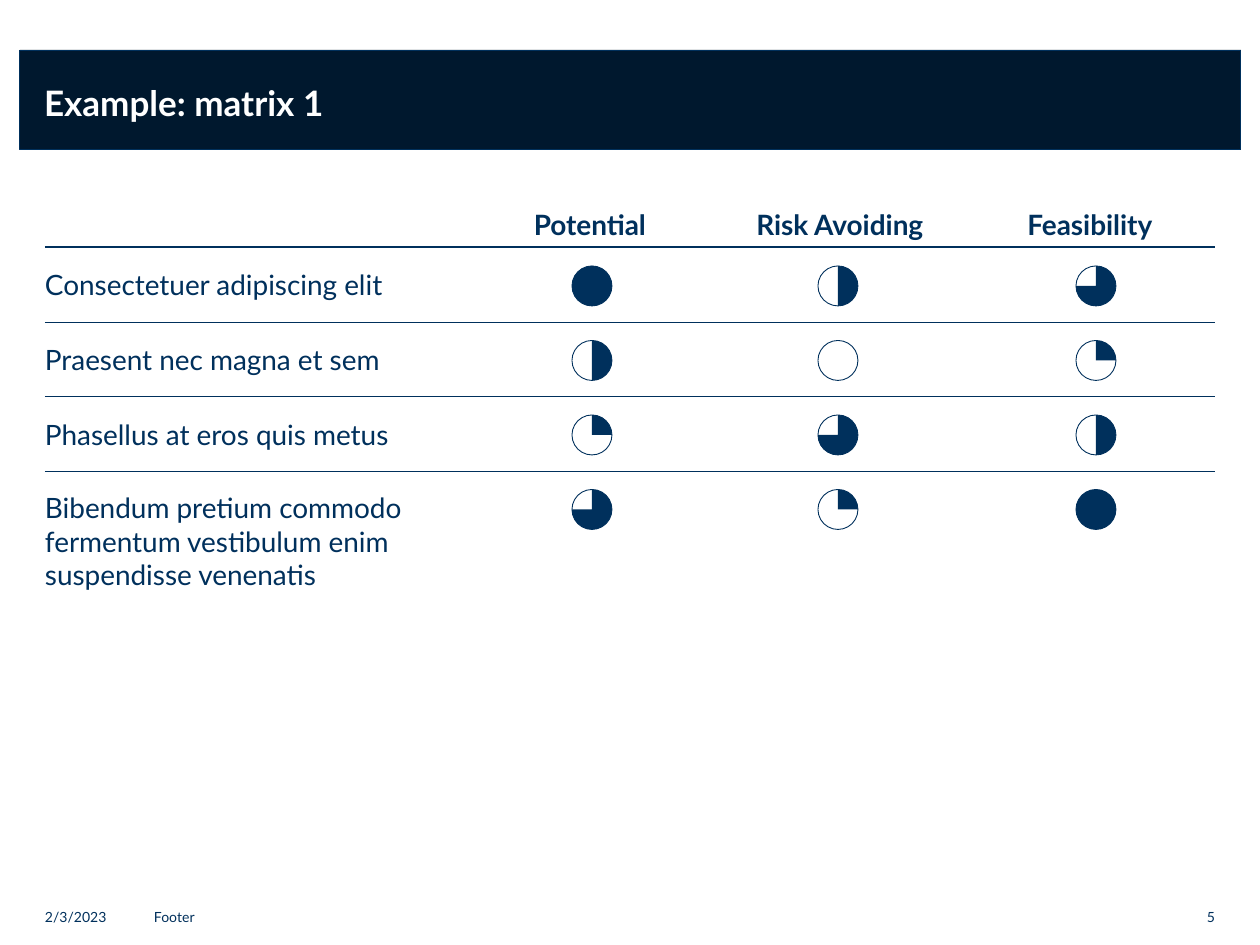
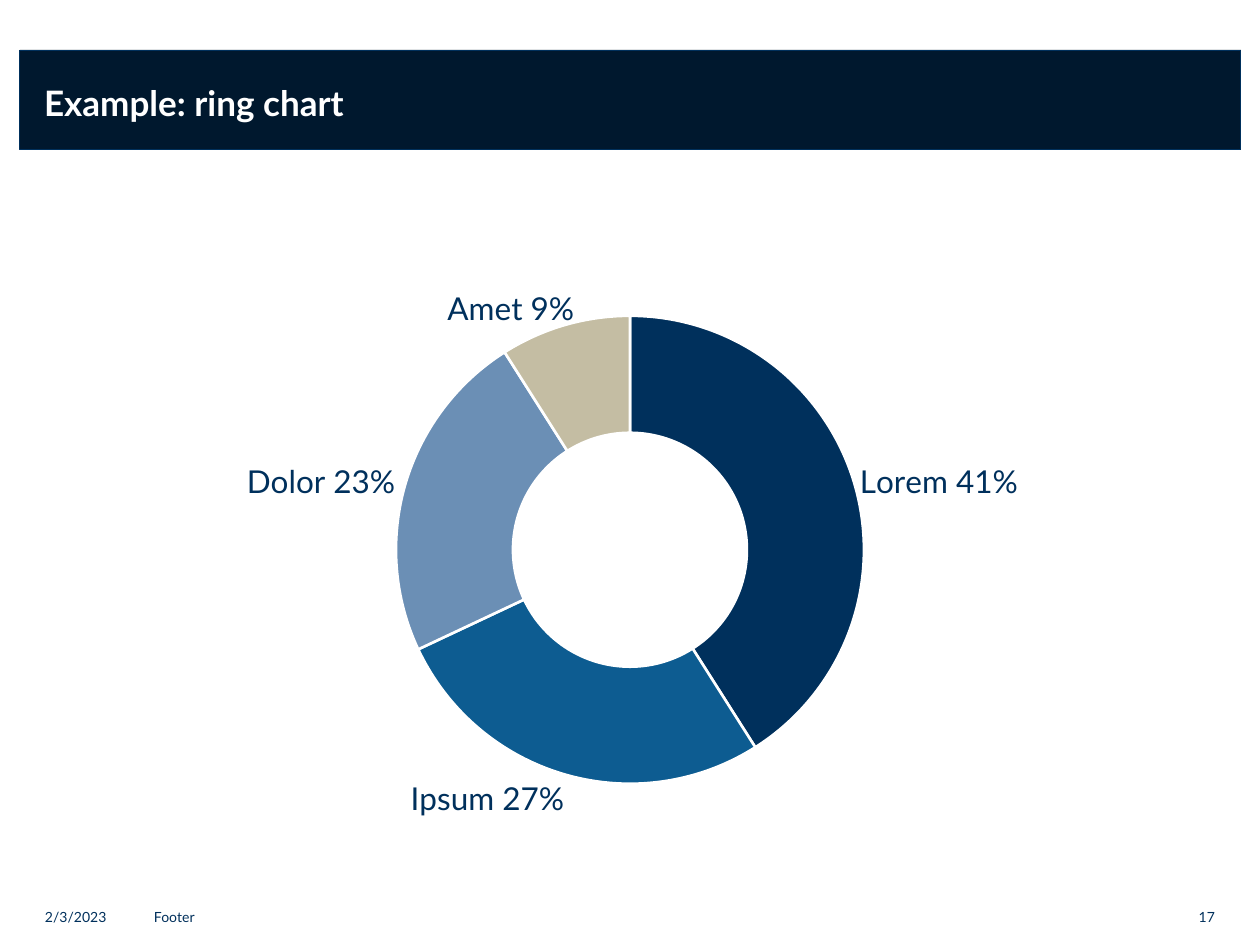
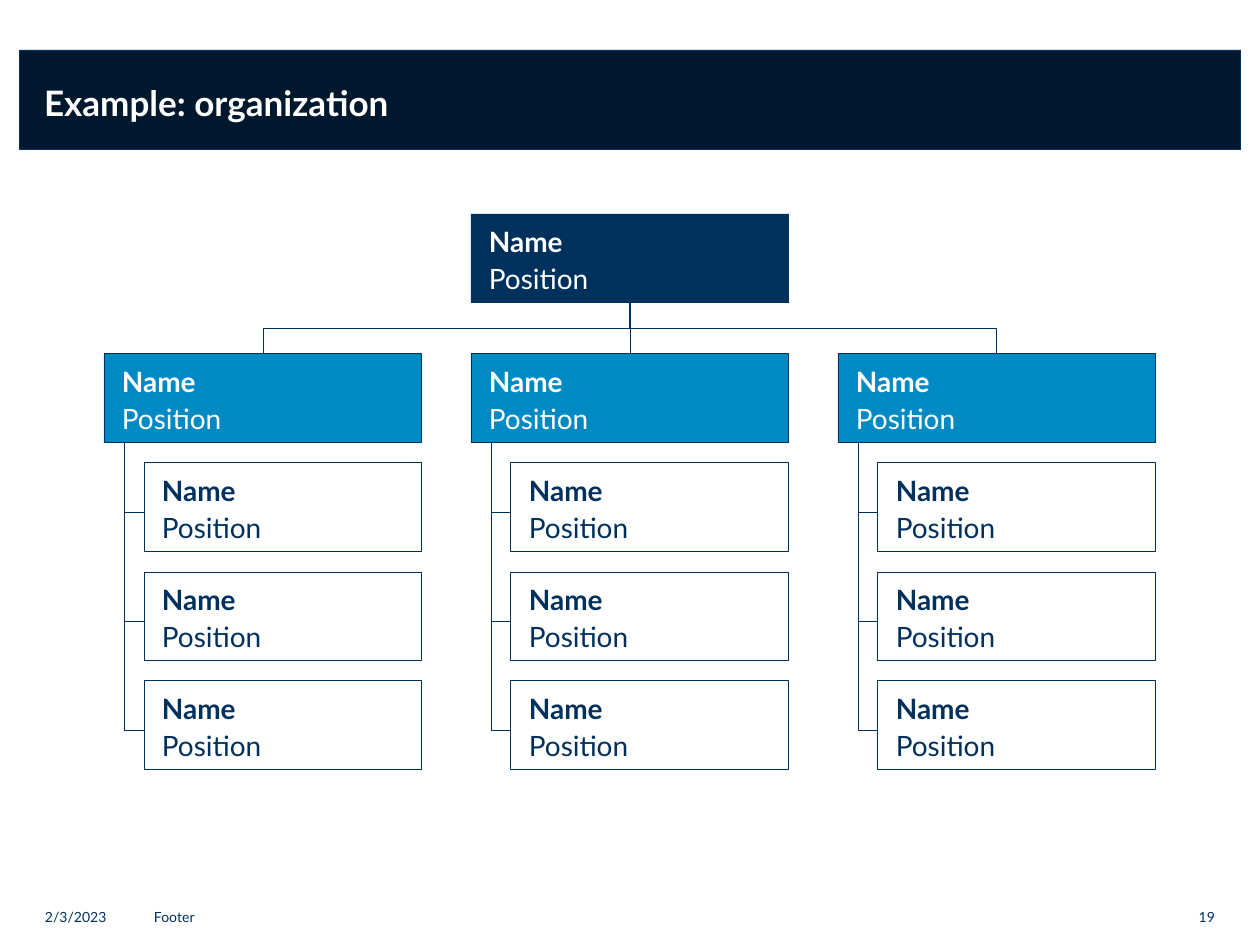
import dataclasses

import lxml.etree
import pptx
import pptx.chart.data
import pptx.dml.color
import pptx.enum.chart
import pptx.enum.shapes
import pptx.enum.text
import pptx.oxml.ns
import pptx.util

SHAPE = pptx.enum.shapes.MSO_SHAPE
CONNECTOR = pptx.enum.shapes.MSO_CONNECTOR
ALIGN = pptx.enum.text.PP_ALIGN
ANCHOR = pptx.enum.text.MSO_ANCHOR
qn = pptx.oxml.ns.qn


@dataclasses.dataclass(frozen=True)
class Theme:
    font: str = "Lato"
    navy: str = "00305C"
    band: str = "00182E"
    blue: str = "008AC4"
    white: str = "FFFFFF"
    ring: tuple = ("00305C", "0D5C91", "6B8FB5", "C4BDA3")
    title_size: int = 20
    chart_size: int = 18
    body_size: int = 16
    footer_size: int = 8
    thin: float = 0.5
    thick: float = 1.5


THEME = Theme()

# Content
DATE, FOOTER = "2/3/2023", "Footer"

CRITERIA = ["", "Potential", "Risk Avoiding", "Feasibility"]
MATRIX = [  # label, then quarters filled for each criterion
    ("Consectetuer adipiscing elit", (4, 2, 3)),
    ("Praesent nec magna et sem", (2, 0, 1)),
    ("Phasellus at eros quis metus", (1, 3, 2)),
    ("Bibendum pretium commodo fermentum vestibulum enim\nsuspendisse venenatis",
     (3, 1, 4)),
]

RING = [  # category, value, label offset from the middle of its segment in px
    ("Lorem", 41, (141, -20)),
    ("Ipsum", 27, (-93, 77)),
    ("Dolor", 23, (-138, -20)),
    ("Amet", 9, (-75, -73)),
]

PERSON = ("Name", "Position")
LEADER = PERSON
TEAMS = [{"head": PERSON, "members": [PERSON] * 3} for _ in range(3)]


# Shared helpers
def px(length):
    return pptx.util.Emu(round(length * 914400 / 126))


def box(*lengths):
    return [px(length) for length in lengths]


def rgb(colour):
    return pptx.dml.color.RGBColor.from_string(colour)


def set_font(font, size, colour=THEME.navy, bold=False):
    font.name, font.size, font.bold = THEME.font, pptx.util.Pt(size), bold
    font.color.rgb = rgb(colour)


def set_line(line, colour=THEME.navy, width=THEME.thin):
    line.color.rgb = rgb(colour)
    line.width = pptx.util.Pt(width)


def set_margins(target, horizontal, vertical):
    target.margin_left = target.margin_right = px(horizontal)
    target.margin_top = target.margin_bottom = px(vertical)


def add_filled(slide, preset, bounds, fill, outlined=True):
    shape = slide.shapes.add_shape(preset, *box(*bounds))
    shape.shadow.inherit = False
    shape.fill.solid()
    shape.fill.fore_color.rgb = rgb(fill)
    if outlined:
        set_line(shape.line)
    else:
        shape.line.fill.background()
    return shape


def add_footer_text(slide, text, left, width, alignment=ALIGN.LEFT):
    frame = slide.shapes.add_textbox(*box(left, 890, width, 35)).text_frame
    frame.word_wrap = True
    frame.vertical_anchor = ANCHOR.BOTTOM
    set_margins(frame, 0, 0)
    paragraph = frame.paragraphs[0]
    paragraph.text, paragraph.alignment = text, alignment
    set_font(paragraph.font, THEME.footer_size)


def add_slide(presentation, title, number):
    slide = presentation.slides.add_slide(presentation.slide_layouts[5])
    heading = slide.shapes.title
    heading.left, heading.top, heading.width, heading.height = box(20, 50, 888, 100)
    frame = heading.text_frame
    frame.text = title
    frame.word_wrap = True
    frame.auto_size = pptx.enum.text.MSO_AUTO_SIZE.NONE
    frame.vertical_anchor = ANCHOR.MIDDLE
    set_margins(frame, 24, 0)
    paragraph = frame.paragraphs[0]
    paragraph.alignment, paragraph.line_spacing = ALIGN.LEFT, 1.1
    set_font(paragraph.font, THEME.title_size, THEME.white, True)
    # The band goes behind the title
    band = add_filled(slide, SHAPE.RECTANGLE, (20, 50, 1221, 100), THEME.band)
    heading._element.addprevious(band._element)
    add_footer_text(slide, DATE, 45, 100)
    add_footer_text(slide, FOOTER, 154, 1000)
    add_footer_text(slide, str(number), 1166, 49, ALIGN.RIGHT)
    return slide


# Matrix
def set_border(cell, side, width):
    line = lxml.etree.Element(qn(f"a:{side}"), w=str(pptx.util.Pt(width)))
    fill = lxml.etree.SubElement(line, qn("a:solidFill"))
    lxml.etree.SubElement(fill, qn("a:srgbClr"), val=THEME.navy)
    cell._tc.get_or_add_tcPr().insert(0, line)


def add_harvey_ball(slide, center_x, center_y, quarters):
    bounds = (center_x - 20, center_y - 20, 40, 40)
    full = quarters == 4
    add_filled(slide, SHAPE.OVAL, bounds, THEME.navy if full else THEME.white)
    if 0 < quarters < 4:
        pie = add_filled(slide, SHAPE.PIE, bounds, THEME.navy, outlined=False)
        # Angles are stored in 60000ths of a degree, adjustments in 100000ths
        pie.adjustments[0] = 270 * 0.6
        pie.adjustments[1] = (270 + 90 * quarters) % 360 * 0.6


def build_matrix(presentation):
    slide = add_slide(presentation, "Example: matrix 1", 5)
    widths, heights = (420, 250, 250, 250), (44, 75, 75, 75, 139)
    rows = [CRITERIA] + [(label, "", "", "") for label, _ in MATRIX]
    table = slide.shapes.add_table(
        len(rows), len(widths), *box(45, 203, sum(widths), sum(heights))).table
    table.first_row = table.horz_banding = False
    style = table._tbl.tblPr.find(qn("a:tableStyleId"))
    style.text = "{2D5ABB26-0587-4C30-8999-92F81FD0307C}"  # no style, no grid
    for column, width in zip(table.columns, widths):
        column.width = px(width)
    rules = [THEME.thick] + [THEME.thin] * (len(rows) - 2)  # between rows
    for row, texts in enumerate(rows):
        table.rows[row].height = px(heights[row])
        for column, text in enumerate(texts):
            cell = table.cell(row, column)
            cell.text = text
            cell.fill.background()
            cell.vertical_anchor = ANCHOR.MIDDLE if row else ANCHOR.TOP
            set_margins(cell, 0, 5)
            for paragraph in cell.text_frame.paragraphs:
                paragraph.alignment = ALIGN.LEFT if row else ALIGN.CENTER
                set_font(paragraph.font, THEME.body_size, bold=row == 0)
            if row < len(rules):
                set_border(cell, "lnB", rules[row])
            if row:
                set_border(cell, "lnT", rules[row - 1])
    for row, (_, scores) in enumerate(MATRIX):
        for center_x, quarters in zip((592, 838, 1096), scores):
            add_harvey_ball(slide, center_x, 286 + 74.5 * row, quarters)


# Ring chart
def add_chart_element(parent, name, value=None):
    element = lxml.etree.SubElement(parent, qn(f"c:{name}"))
    if value is not None:
        element.set("val", str(value))
    return element


def add_layout(parent, **values):
    manual = add_chart_element(add_chart_element(parent, "layout"), "manualLayout")
    for name, value in values.items():
        add_chart_element(manual, name, value)


def add_label_settings(parent):
    for name in ("LegendKey", "Val", "CatName", "SerName", "Percent", "BubbleSize"):
        add_chart_element(parent, f"show{name}", int(name in ("CatName", "Percent")))
    add_chart_element(parent, "separator").text = " "


def build_ring(presentation):
    slide = add_slide(presentation, "Example: ring chart", 17)
    width, height = 1170, 665
    data = pptx.chart.data.CategoryChartData()
    data.categories = [category for category, _, _ in RING]
    data.add_series("Series 1", [value for _, value, _ in RING])
    chart = slide.shapes.add_chart(
        pptx.enum.chart.XL_CHART_TYPE.DOUGHNUT, *box(45, 214, width, height), data).chart
    chart.has_title = chart.has_legend = False
    set_font(chart.font, THEME.chart_size)
    plot = chart.plots[0]
    plot.vary_by_categories = True
    series = plot.series[0]
    for index, colour in enumerate(THEME.ring):
        point = series.points[index].format
        point.fill.solid()
        point.fill.fore_color.rgb = rgb(colour)
        set_line(point.line, THEME.white, THEME.thick)

    # Labels moved out of the ring
    labels = lxml.etree.Element(qn("c:dLbls"))
    for index, (_, _, (right, down)) in enumerate(RING):
        label = add_chart_element(labels, "dLbl")
        add_chart_element(label, "idx", index)
        add_layout(label, x=round(right / width, 2), y=round(down / height, 2))
        add_label_settings(label)
    add_label_settings(labels)
    add_chart_element(labels, "showLeaderLines", 0)
    series._element.find(qn("c:cat")).addprevious(labels)

    # Hole and place of the ring
    chart_space = chart._chartSpace
    chart_space.find(f".//{qn('c:holeSize')}").set("val", "60")
    plot_area = chart_space.find(f".//{qn('c:plotArea')}")
    for layout in plot_area.findall(qn("c:layout")):
        plot_area.remove(layout)
    add_layout(plot_area, layoutTarget="inner", xMode="edge", yMode="edge",
               x=0.3, y=0.14, w=0.4, h=0.73)
    plot_area.insert(0, plot_area[-1])


# Organization
def add_person(slide, person, left, top, width, fill):
    shape = add_filled(slide, SHAPE.RECTANGLE, (left, top, width, 89), fill)
    frame = shape.text_frame
    frame.text = "\n".join(person)
    frame.word_wrap = True
    frame.vertical_anchor = ANCHOR.MIDDLE
    set_margins(frame, 18, 6)
    colour = THEME.navy if fill == THEME.white else THEME.white
    for index, paragraph in enumerate(frame.paragraphs):
        paragraph.alignment, paragraph.line_spacing = ALIGN.LEFT, 1.1
        set_font(paragraph.font, THEME.body_size, colour, bold=index == 0)
    return shape


def join_to_leader(slide, head, leader):
    start_x, end_x = (shape.left + shape.width // 2 for shape in (head, leader))
    start_y, end_y = head.top, leader.top + leader.height
    kind = CONNECTOR.STRAIGHT if start_x == end_x else CONNECTOR.ELBOW
    connector = slide.shapes.add_connector(kind, start_x, start_y, end_x, end_y)
    connector.begin_connect(head, 0)
    connector.end_connect(leader, 2)
    set_line(connector.line)
    properties = connector._element.spPr
    lxml.etree.SubElement(properties, qn("a:effectLst"))
    if kind == CONNECTOR.ELBOW:
        # Turn the elbow so that it leaves and arrives vertically
        span, rise = abs(end_x - start_x), start_y - end_y
        connector.left = (start_x + end_x - rise) // 2
        connector.top = (start_y + end_y - span) // 2
        connector.width, connector.height = rise, span
        frame = properties.xfrm
        frame.flipV, frame.flipH = False, start_x > end_x
        frame.rot = 90 if start_x > end_x else 270


def add_branch(slide, trunk_x, start_y, end_x, end_y):
    builder = slide.shapes.build_freeform(trunk_x, start_y, scale=914400 / 126)
    builder.add_line_segments([(trunk_x, end_y), (end_x, end_y)], close=False)
    branch = builder.convert_to_shape()
    branch.shadow.inherit = False
    branch.fill.background()
    set_line(branch.line)


def build_organization(presentation):
    slide = add_slide(presentation, "Example: organization", 19)
    width, team_pitch, row_pitch, indent = 318, 367, 109, 40
    first_x, head_y = 104, 354
    leader = add_person(slide, LEADER, first_x + team_pitch, 214, width, THEME.navy)
    for team_index, team in enumerate(TEAMS):
        left = first_x + team_index * team_pitch
        head = add_person(slide, team["head"], left, head_y, width, THEME.blue)
        join_to_leader(slide, head, leader)
        branch_y = head_y + 89
        for row, member in enumerate(team["members"], 1):
            top = head_y + row * row_pitch
            add_person(slide, member, left + indent, top, width - indent, THEME.white)
            add_branch(slide, left + indent // 2, branch_y, left + indent, top + 49)
            branch_y = top + 49


def main():
    presentation = pptx.Presentation()
    presentation.slide_width, presentation.slide_height = box(1260, 945)
    build_matrix(presentation)
    build_ring(presentation)
    build_organization(presentation)
    presentation.save("out.pptx")


if __name__ == "__main__":
    main()
